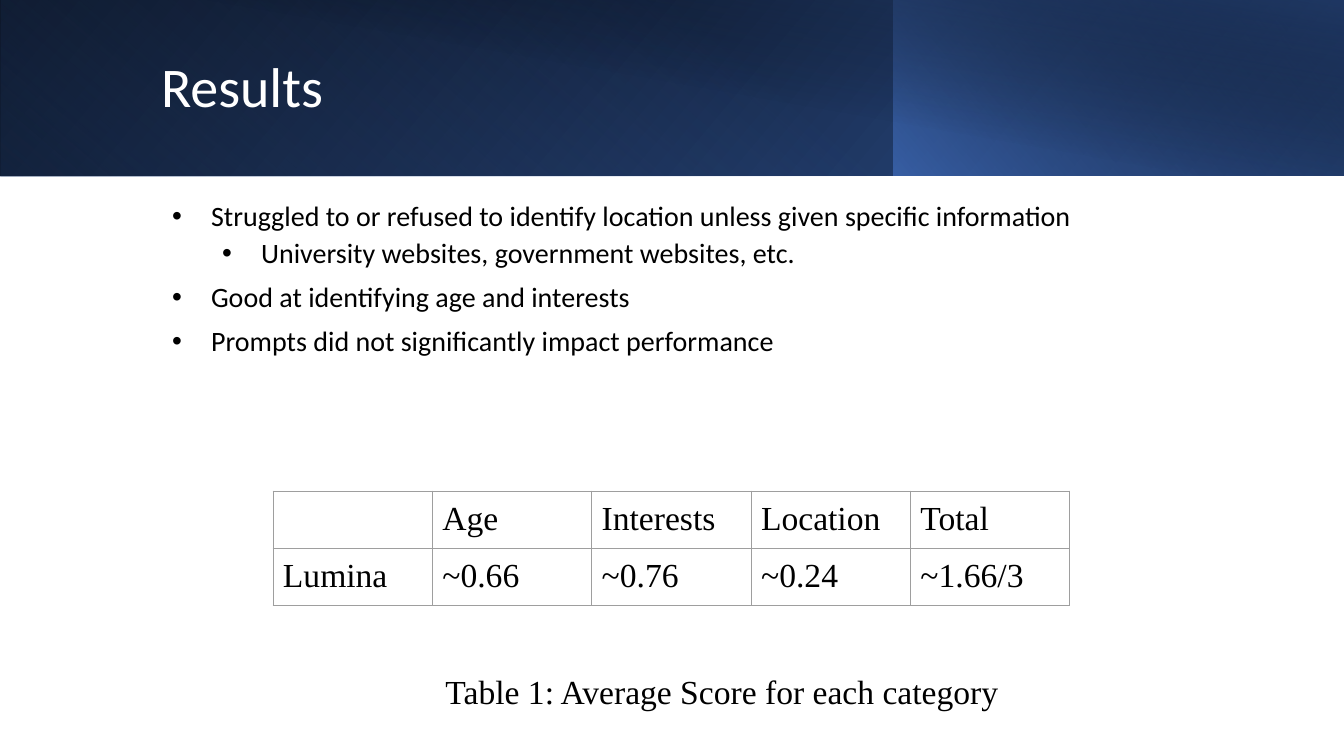
from lxml import etree
from pptx import Presentation
from pptx.dml.color import RGBColor as Rgb
from pptx.enum.shapes import MSO_SHAPE as Shape
from pptx.enum.text import MSO_ANCHOR as Anchor, MSO_AUTO_SIZE as Auto, PP_ALIGN as Align
from pptx.oxml import parse_xml
from pptx.oxml.ns import nsdecls, qn
from pptx.util import Emu, Pt

WIDE, HIGH = 1344, 756
SCALE = 12192000 / WIDE
COLORS = {"black": "000000", "white": "FFFFFF", "blue": "4472C4",
          "steel": "2F5496", "navy": "1F3864", "grid": "9E9E9E"}
SANS, SERIF = "Calibri", "Times New Roman"
POINTS = [
    (0, "Struggled to or refused to identify location unless given specific information"),
    (1, "University websites, government websites, etc."),
    (0, "Good at identifying age and interests"),
    (0, "Prompts did not significantly impact performance"),
]
SCORES = [["", "Age", "Interests", "Location", "Total"],
          ["Lumina", "~0.66", "~0.76", "~0.24", "~1.66/3"]]


def px(count):
    return Emu(round(count * SCALE))


def place(item, box):
    item.left, item.top, item.width, item.height = map(px, box)


def indent(para, left, hang=0, bullet=None):
    props = para._p.get_or_add_pPr()
    props.set("marL", str(px(left)))
    props.set("indent", str(px(-hang)))
    if bullet:
        color = etree.SubElement(props, qn("a:buClr"))
        etree.SubElement(color, qn("a:srgbClr")).set("val", COLORS["black"])
        etree.SubElement(props, qn("a:buChar")).set("char", bullet)


def write(para, text, size=24, face=SERIF, color="black", align=Align.LEFT,
          before=0, lines=None):
    para.alignment = align
    para.space_before = Pt(before)
    if lines:
        para.line_spacing = lines
    run = para.add_run()
    run.text = text
    run.font.size, run.font.name = Pt(size), face
    run.font.color.rgb = Rgb.from_string(COLORS[color])


def shade(slide, box, angle, stops, turn=0, flip=True):
    """Add a borderless rectangle with a gradient of (position, color, opacity) stops."""
    rect = slide.shapes.add_shape(Shape.RECTANGLE, *map(px, box))
    rect.shadow.inherit = False
    rect.line.fill.background()
    rect.rotation = turn
    rect.fill.background()
    props = rect._element.spPr
    if flip:
        props.find(qn("a:xfrm")).set("flipH", "1")
    marks = "".join(
        f'<a:gs pos="{pos * 1000}"><a:srgbClr val="{COLORS[color]}">'
        f'<a:alpha val="{alpha * 1000}"/></a:srgbClr></a:gs>'
        for pos, color, alpha in stops)
    fill = parse_xml(
        f'<a:gradFill {nsdecls("a")} rotWithShape="1"><a:gsLst>{marks}</a:gsLst>'
        f'<a:lin ang="{angle * 60000}" scaled="0"/></a:gradFill>')
    props.replace(props.find(qn("a:noFill")), fill)


def banner(slide, box):
    left, top, width, height = box
    split = left + 894
    shade(slide, box, 140, [(0, "black", 100), (100, "steel", 100)])
    shade(slide, (left, top, split - left, height), 230,
          [(0, "blue", 0), (20, "blue", 0), (100, "navy", 55)], turn=180)
    shade(slide, (split, top, left + width - split, height), 220,
          [(0, "blue", 65), (100, "black", 29)])
    shade(slide, (left + 50, top, width - 50, height), 280,
          [(0, "black", 0), (50, "black", 0), (99, "navy", 51), (100, "navy", 51)],
          flip=False)


def heading(slide, box):
    title = slide.shapes.title
    place(title, box)
    frame = title.text_frame
    frame.auto_size, frame.vertical_anchor = Auto.NONE, Anchor.MIDDLE
    write(frame.paragraphs[0], "Results", 40, SANS, "white", lines=0.9)


def findings(slide, box):
    body = slide.placeholders[1]
    place(body, box)
    frame = body.text_frame
    frame.auto_size = Auto.NONE
    for row, (level, text) in enumerate(POINTS):
        para = frame.add_paragraph() if row else frame.paragraphs[0]
        para.level = level
        indent(para, 50 * (level + 1), 39, "•")
        gap = (5 if level else 10) if row else 0
        write(para, text, 20, SANS, before=gap, lines=0.9)


def border(cell):
    props = cell._tc.get_or_add_tcPr()
    for spot, side in enumerate(("lnL", "lnR", "lnT", "lnB")):
        props.insert(spot, parse_xml(
            f'<a:{side} {nsdecls("a")} w="{Pt(0.75)}"><a:solidFill>'
            f'<a:srgbClr val="{COLORS["grid"]}"/></a:solidFill></a:{side}>'))


def scores(slide, box):
    rows, cols = len(SCORES), len(SCORES[0])
    table = slide.shapes.add_table(rows, cols, *map(px, box)).table
    table.first_row = table.horz_banding = False
    for r, texts in enumerate(SCORES):
        for c, text in enumerate(texts):
            cell = table.cell(r, c)
            cell.fill.background()
            cell.margin_left = cell.margin_right = px(10)
            cell.margin_top = cell.margin_bottom = px(10)
            border(cell)
            if text:
                write(cell.text_frame.paragraphs[0], text)


def caption(slide, box):
    frame = slide.shapes.add_textbox(*map(px, box)).text_frame
    frame.word_wrap = True
    para = frame.paragraphs[0]
    indent(para, 50)
    write(para, "Table 1: Average Score for each category", align=Align.CENTER)


def main():
    deck = Presentation()
    deck.slide_width, deck.slide_height = px(WIDE), px(HIGH)
    slide = deck.slides.add_slide(deck.slide_layouts[1])
    banner(slide, (0, 0, WIDE, 176))
    # Keep the title and list in front of the banner.
    for item in list(slide.placeholders):
        slide.shapes._spTree.append(item._element)
    heading(slide, (151, 32, 1091, 114))
    findings(slide, (151, 197, 1072, 245))
    scores(slide, (273, 491, 797, 114))
    caption(slide, (368, 666, 658, 70))
    deck.save("out.pptx")


if __name__ == "__main__":
    main()
